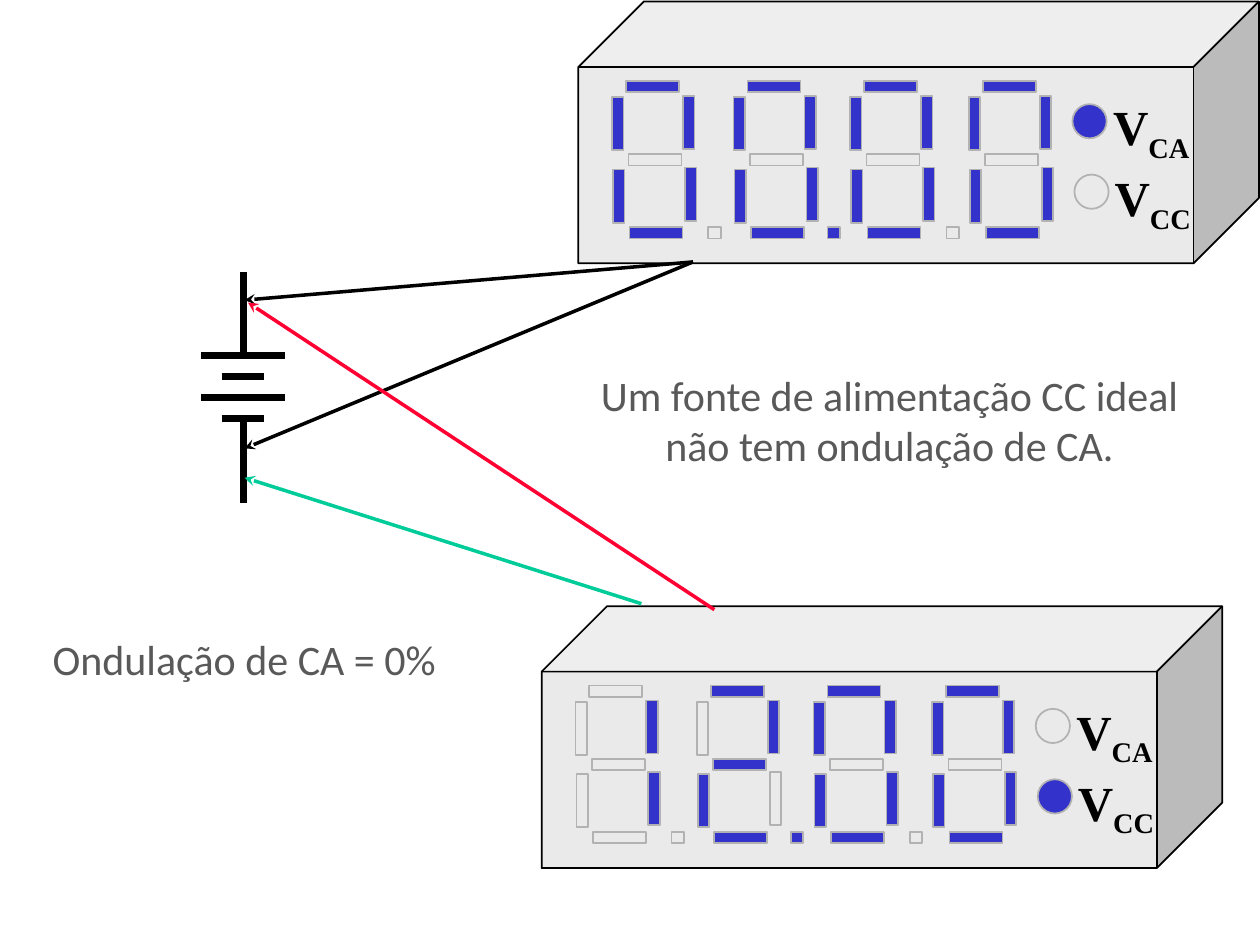
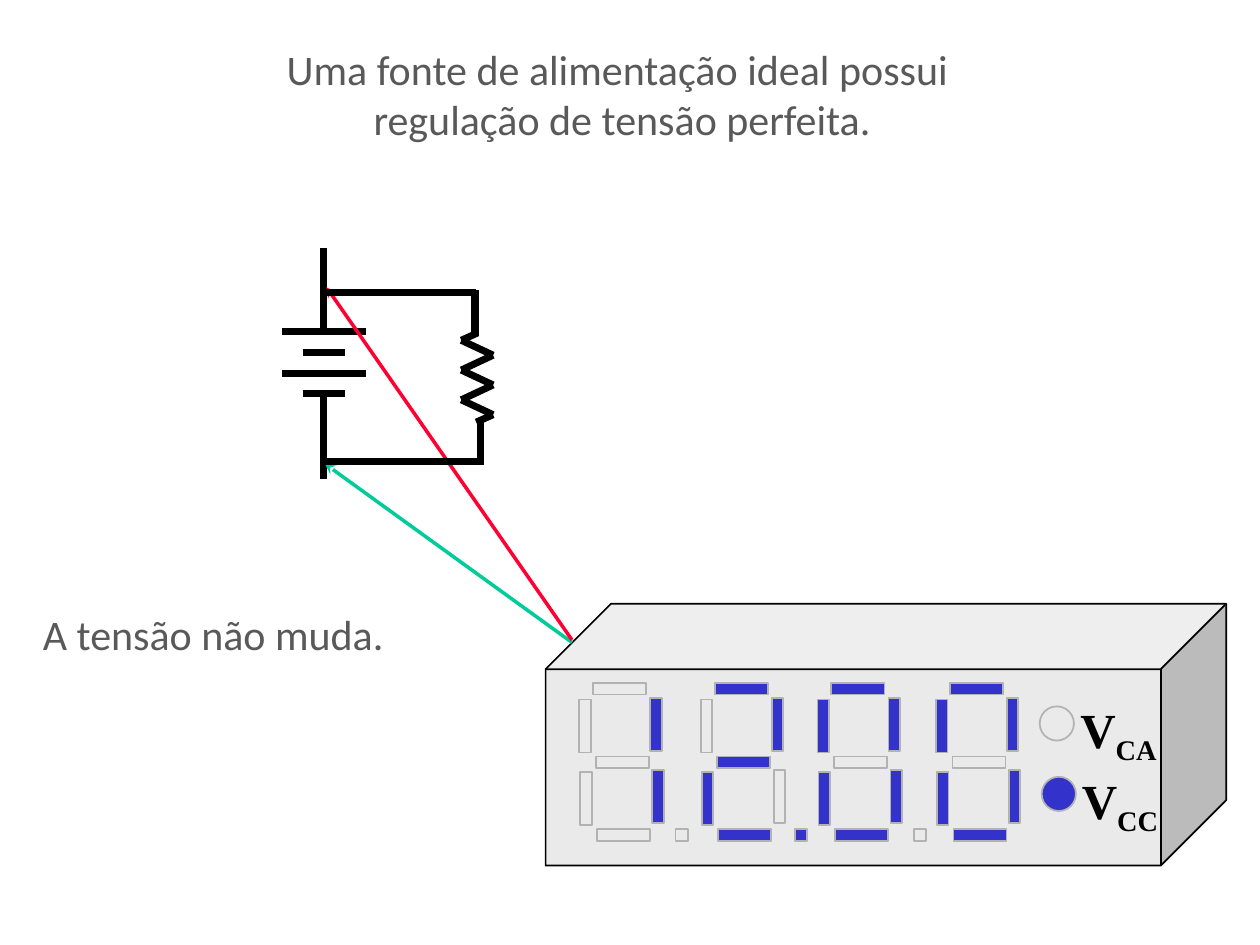
"""Build two slides on the ideal DC supply: no ripple and perfect regulation."""
from itertools import pairwise

from lxml import etree
from pptx import Presentation
from pptx.dml.color import RGBColor
from pptx.enum import shapes, text
from pptx.oxml import ns
from pptx.util import Cm, Pt

BLACK = RGBColor(0x00, 0x00, 0x00)
GREY_TEXT = RGBColor(0x59, 0x59, 0x59)
CASE = RGBColor(0xEA, 0xEA, 0xEA)
LIT = RGBColor(0x33, 0x33, 0xCC)
OUTLINE = RGBColor(0xB2, 0xB2, 0xB2)
RED = RGBColor(0xFF, 0x00, 0x33)
GREEN = RGBColor(0x00, 0xCC, 0x99)

SHAPE = shapes.MSO_SHAPE
CENTER = text.PP_ALIGN.CENTER
BAR_LONG, BAR_SHORT = 1.07, 0.23
SEGMENTS = {
    "a": (0.28, 1.6), "b": (1.43, 1.9), "c": (1.47, 3.35), "d": (0.35, 4.55),
    "e": (0.02, 3.39), "f": (0, 1.93), "g": (0.33, 3.08),
}
NUMERALS = {"0": "abcdef", "1": "bc", "2": "abdeg"}
DIGIT_LEFTS = (0.68, 3.13, 5.48, 7.87)
MODES = {"CA": ((9.96, 2.07), (10.53, 1.8)), "CC": ((10.0, 3.49), (10.56, 3.23))}


def write(box, content, size=24, font="Calibri", color=GREY_TEXT, bold=False,
          align=None, wrap=False, subscript=""):
    """Fill a box with one paragraph per line, plus an optional subscript."""
    frame = box.text_frame
    frame.word_wrap = wrap
    frame.auto_size = text.MSO_AUTO_SIZE.SHAPE_TO_FIT_TEXT
    frame.vertical_anchor = text.MSO_ANCHOR.TOP
    for index, line in enumerate(content.split("\n")):
        para = frame.add_paragraph() if index else frame.paragraphs[0]
        para.alignment = align
        for part in filter(None, (line, subscript)):
            span = para.add_run()
            span.text = part
            span.font.size, span.font.name = Pt(size), font
            span.font.bold, span.font.color.rgb = bold, color
    if subscript:
        span.font._element.set("baseline", "-25000")


def add_text(page, left, top, width, height, content, **style):
    """Add a text box and write in it."""
    box = page.shapes.add_textbox(Cm(left), Cm(top), Cm(width), Cm(height))
    write(box, content, **style)


def add_block(page, kind, left, top, width, height, fill, outline=OUTLINE):
    """Add an outlined shape, hollow when fill is None."""
    block = page.shapes.add_shape(kind, Cm(left), Cm(top), Cm(width), Cm(height))
    block.shadow.inherit = False
    if fill is None:
        block.fill.background()
    else:
        block.fill.solid()
        block.fill.fore_color.rgb = fill
    block.line.color.rgb = outline
    block.line.width = Pt(1)
    return block


def add_line(page, start, end, color=BLACK, width=4, arrow=False):
    """Add a straight line, with a stealth head at its end if asked."""
    line = page.shapes.add_connector(
        shapes.MSO_CONNECTOR.STRAIGHT, *(Cm(value) for value in (*start, *end)))
    line.line.color.rgb = color
    line.line.width = Pt(width)
    if arrow:
        etree.SubElement(line.line._get_or_add_ln(), ns.qn("a:tailEnd"), type="stealth")
    etree.SubElement(line._element.spPr, ns.qn("a:effectLst"))


def add_probe(page, start, end, color=BLACK):
    """Add a test lead that points at the circuit."""
    add_line(page, start, end, color, width=2, arrow=True)


def add_digit(page, left, top, numeral):
    """Add a seven-segment digit."""
    for name, (dx, dy) in SEGMENTS.items():
        size = (BAR_LONG, BAR_SHORT) if name in "adg" else (BAR_SHORT, BAR_LONG)
        add_block(page, SHAPE.RECTANGLE, left + dx, top + dy, *size,
                  LIT if name in NUMERALS[numeral] else None)


def add_meter(page, left, top, reading, mode):
    """Add a voltmeter whose second decimal point is lit."""
    case = add_block(page, SHAPE.CUBE, left, top, 13.72, 5.28, CASE, BLACK)
    case.adjustments[0] = 0.25
    for offset, numeral in zip(DIGIT_LEFTS, reading):
        add_digit(page, left + offset, top, numeral)
    for index in range(3):
        add_block(page, SHAPE.RECTANGLE, left + 2.62 + 2.4 * index, top + 4.55,
                  0.25, BAR_SHORT, LIT if index == 1 else None)
    for name, (lamp, label) in MODES.items():
        add_block(page, SHAPE.OVAL, left + lamp[0], top + lamp[1], 0.69, 0.69,
                  LIT if name == mode else None)
        add_text(page, left + label[0], top + label[1], 2.18, 1.32, "V", size=28,
                 font="Times New Roman", color=BLACK, bold=True, subscript=name)


def add_battery(page, x, top):
    """Add a two-cell battery symbol with its wires."""
    plates = [top + 1.68 + 0.42 * index for index in range(4)]
    for index, y in enumerate(plates):
        half = 0.43 if index % 2 else 0.84
        add_line(page, (x - half, y), (x + half, y))
    add_line(page, (x, plates[0]), (x, top))
    add_line(page, (x, plates[-1]), (x, top + 4.65))


def add_load(page):
    """Add the zigzag resistor and the wires that join it to the battery."""
    peaks = [(9.94 if index % 2 else 9.3, 6.86 + 0.3 * index) for index in range(6)]
    for start, end in pairwise([(9.63, 6.71), *peaks, (9.6, 8.51)]):
        add_line(page, start, end)
    add_line(page, (6.5, 5.89), (9.6, 5.89))
    add_line(page, (9.58, 5.84), (9.58, 6.76), width=4.5)
    add_line(page, (9.68, 9.3), (6.55, 9.3))
    add_line(page, (9.68, 9.37), (9.68, 8.51))


def build_ripple(deck):
    """Show that an ideal supply has no AC ripple."""
    page = deck.slides.add_slide(deck.slide_layouts[6])
    add_meter(page, 11.66, 0.03, "0000", "CA")
    add_meter(page, 10.92, 12.22, "1200", "CC")
    add_battery(page, 4.9, 5.49)
    add_probe(page, (13.97, 5.28), (4.93, 6.05))
    add_probe(page, (13.97, 5.28), (4.93, 9.04))
    add_probe(page, (12.93, 12.17), (4.93, 9.63), GREEN)
    add_probe(page, (14.4, 12.29), (5.0, 6.1), RED)
    add_text(page, 11.68, 7.32, 12.7, 2.31,
             "Um fonte de alimentação CC ideal \nnão tem ondulação de CA. ", align=CENTER)
    add_text(page, 0.81, 12.65, 8.46, 1.27, "Ondulação de CA = 0%")


def build_regulation(deck):
    """Show that an ideal supply keeps its voltage under load."""
    page = deck.slides.add_slide(deck.slide_layouts[5])
    title = page.shapes.title
    title.left, title.top, title.width, title.height = Cm(2.74), Cm(0.74), Cm(19.41), Cm(2.31)
    write(title, "Uma fonte de alimentação ideal possui\n regulação de tensão perfeita.",
          align=CENTER, wrap=True)
    add_meter(page, 11.0, 12.17, "1200", "CC")
    add_battery(page, 6.53, 5.0)
    add_probe(page, (11.53, 12.95), (6.55, 9.35), GREEN)
    add_probe(page, (11.53, 12.9), (6.58, 5.79), RED)
    add_load(page)
    add_text(page, 0.58, 12.14, 7.44, 1.3, "A tensão não muda.", align=CENTER)


def main():
    """Build and save the deck."""
    deck = Presentation()
    deck.slide_width, deck.slide_height = Cm(25.4), Cm(19.05)
    build_ripple(deck)
    build_regulation(deck)
    deck.save("out.pptx")


if __name__ == "__main__":
    main()
